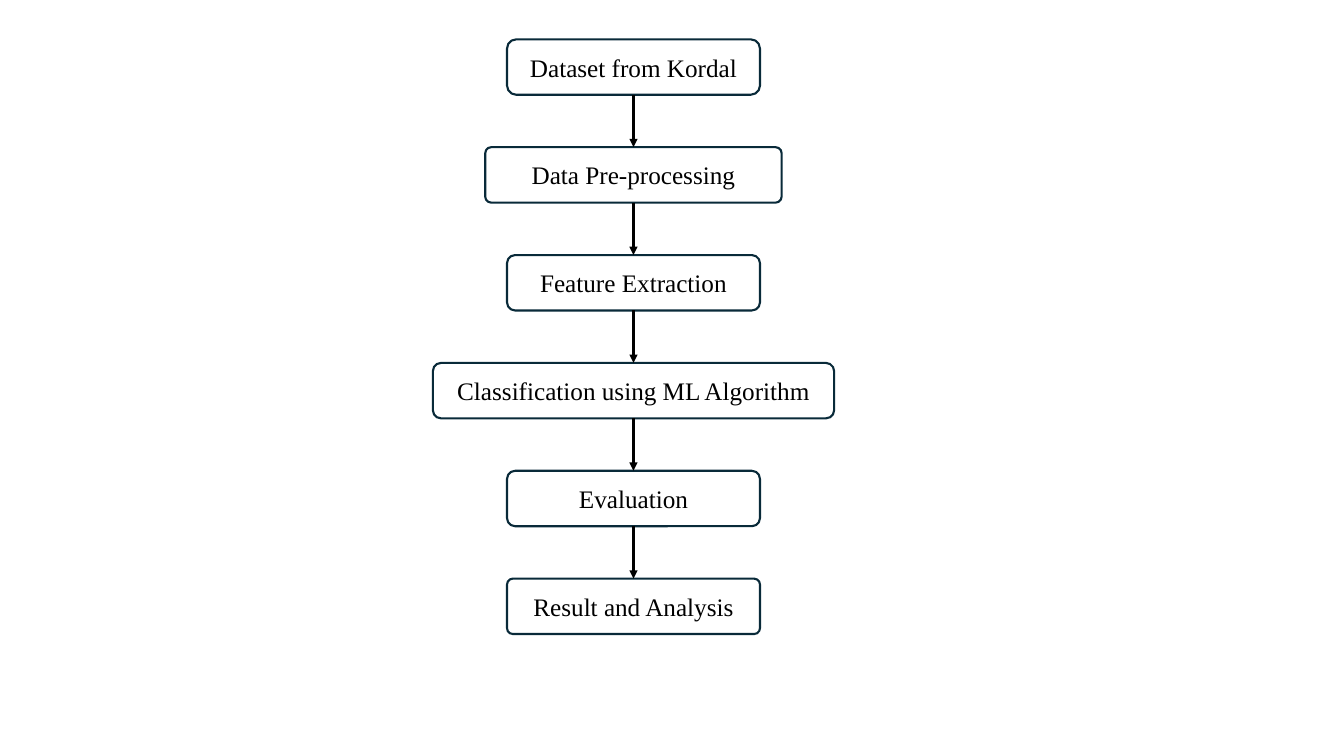
from dataclasses import dataclass

from lxml import etree
from pptx import Presentation
from pptx import util as u
from pptx.dml.color import RGBColor
from pptx.enum import shapes, text
from pptx.oxml import ns
from pptx.shapes.autoshape import Shape
from pptx.shapes.connector import Connector
from pptx.slide import Slide

COLORS = {"box": "FFFFFF", "border": "092A39", "text": "000000", "arrow": "000000"}
FONT = "Times New Roman"

# Layout, in points
SLIDE_WIDTH, SLIDE_HEIGHT = 960, 540
CENTER_X = 452.5
FIRST_TOP = 28.1
BOX_HEIGHT = 39.6
STEP_PITCH = 77.04
LINE_WIDTH = 1.5


@dataclass
class Step:
    label: str
    width: float = 180.7
    rounding: float = 0.147


STEPS = [
    Step("Dataset from Kordal", rounding=0.167),
    Step("Data Pre-processing", width=211.7, rounding=0.108),
    Step("Feature Extraction"),
    Step("Classification using ML Algorithm", width=286.6),
    Step("Evaluation"),
    Step("Result and Analysis", rounding=0.108),
]


def color(name: str) -> RGBColor:
    return RGBColor.from_string(COLORS[name])


def write_text(shape: Shape, content: str, *, size: float = 18,
               font: str = FONT, color_name: str = "text") -> None:
    frame = shape.text_frame
    frame.word_wrap = True
    frame.vertical_anchor = text.MSO_ANCHOR.MIDDLE
    paragraph = frame.paragraphs[0]
    paragraph.alignment = text.PP_ALIGN.CENTER
    run = paragraph.add_run()
    run.text = content
    run.font.name = font
    run.font.size = u.Pt(size)
    run.font.color.rgb = color(color_name)


def draw_step(slide: Slide, step: Step, top: float) -> Shape:
    shape = slide.shapes.add_shape(
        shapes.MSO_SHAPE.ROUNDED_RECTANGLE,
        u.Pt(CENTER_X - step.width / 2), u.Pt(top),
        u.Pt(step.width), u.Pt(BOX_HEIGHT))
    shape.adjustments[0] = step.rounding
    shape.shadow.inherit = False
    shape.fill.solid()
    shape.fill.fore_color.rgb = color("box")
    shape.line.color.rgb = color("border")
    shape.line.width = u.Pt(LINE_WIDTH)
    write_text(shape, step.label)
    return shape


def draw_arrow(slide: Slide, upper: Shape, lower: Shape) -> Connector:
    arrow = slide.shapes.add_connector(shapes.MSO_CONNECTOR.STRAIGHT, 0, 0, 0, 0)
    # Bottom centre of one box to top centre of the next
    arrow.begin_connect(upper, 2)
    arrow.end_connect(lower, 0)
    arrow.line.color.rgb = color("arrow")
    arrow.line.width = u.Pt(LINE_WIDTH)
    properties = arrow.line._get_or_add_ln()
    etree.SubElement(properties, ns.qn("a:tailEnd"), type="triangle")
    etree.SubElement(properties.getparent(), ns.qn("a:effectLst"))
    return arrow


def main() -> None:
    presentation = Presentation()
    presentation.slide_width = u.Pt(SLIDE_WIDTH)
    presentation.slide_height = u.Pt(SLIDE_HEIGHT)
    slide = presentation.slides.add_slide(presentation.slide_layouts[6])

    # Process steps
    boxes = [draw_step(slide, step, FIRST_TOP + index * STEP_PITCH)
             for index, step in enumerate(STEPS)]

    # Arrows between neighbouring steps
    for upper, lower in zip(boxes, boxes[1:]):
        draw_arrow(slide, upper, lower)

    presentation.save("out.pptx")


if __name__ == "__main__":
    main()
